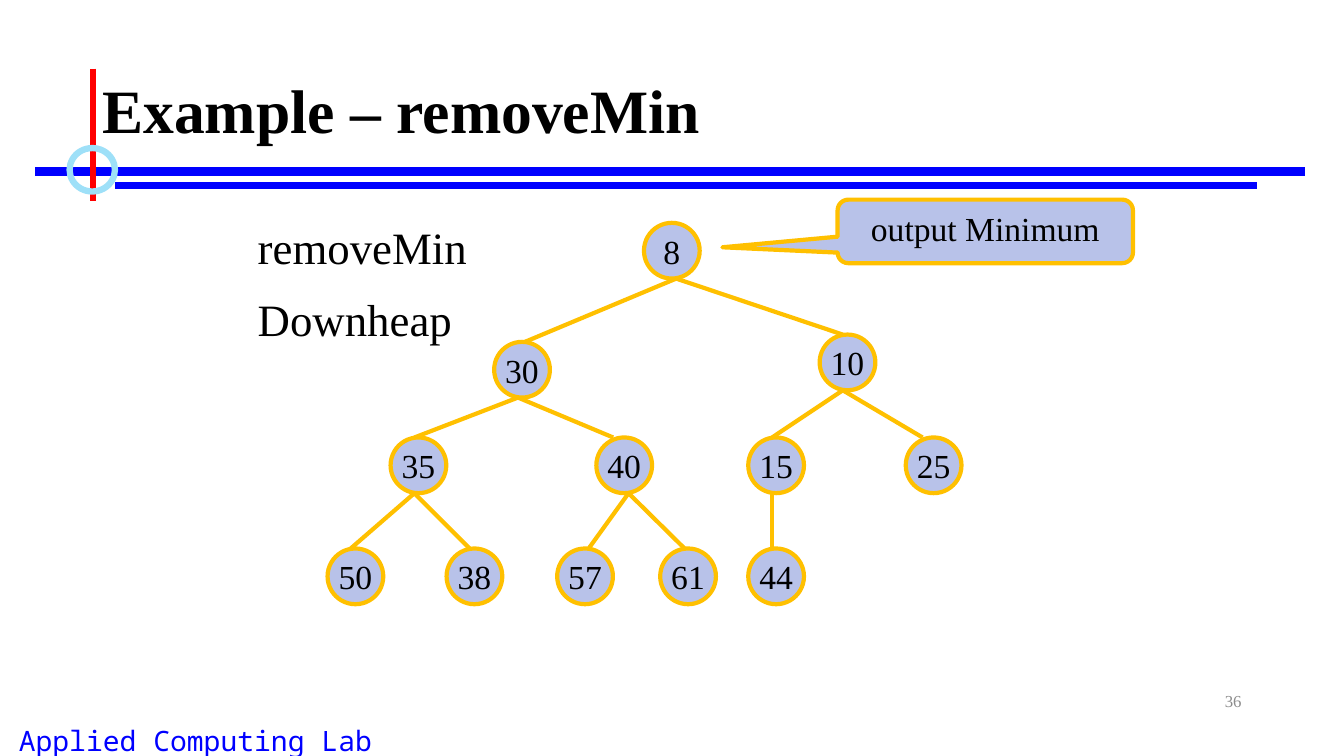
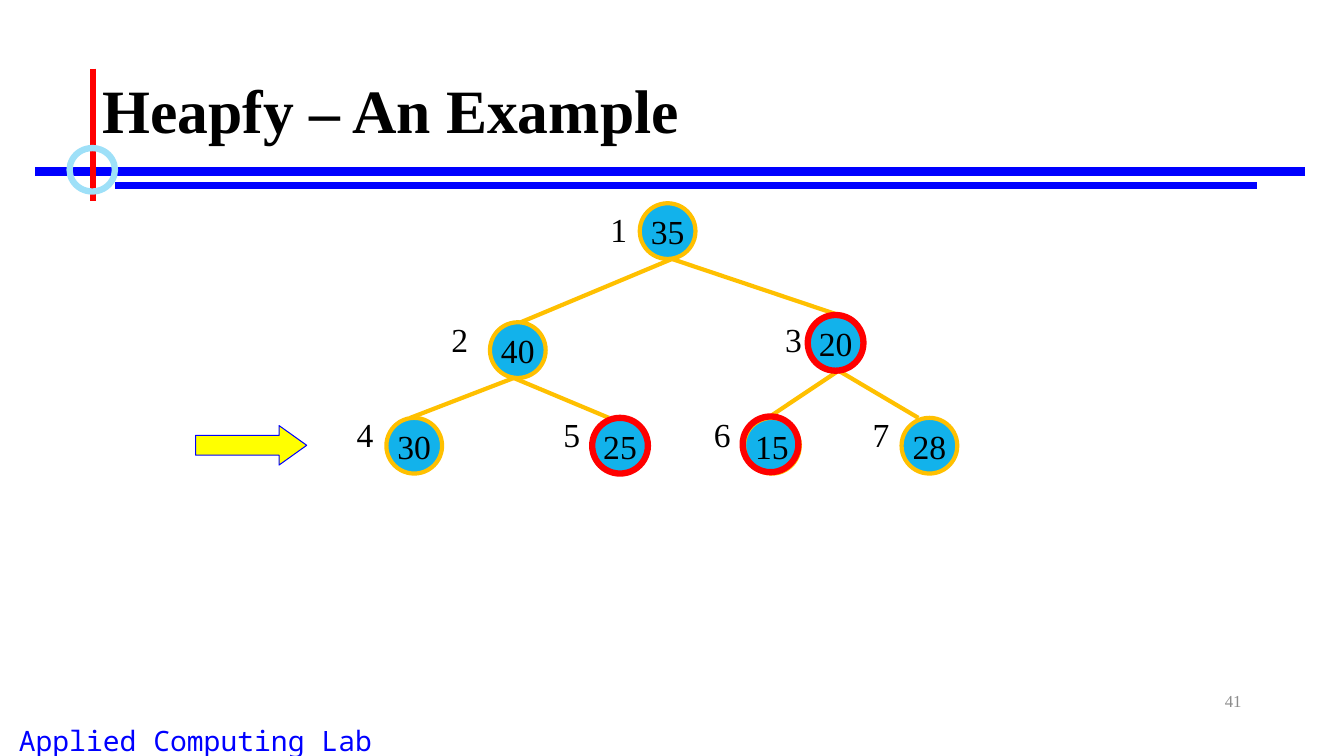
from dataclasses import dataclass

from lxml.etree import SubElement
from pptx import Presentation
from pptx.dml.color import RGBColor
from pptx.enum.shapes import MSO_CONNECTOR, MSO_SHAPE
from pptx.enum.text import MSO_ANCHOR, PP_ALIGN
from pptx.oxml.ns import qn
from pptx.util import Pt


@dataclass(frozen=True)
class Theme:
    serif: str = "Times New Roman"
    mono: str = "Noto Sans Mono"
    black: str = "000000"
    grey: str = "8C8C8C"
    blue: str = "0000FF"
    red: str = "FF0000"
    yellow: str = "FFFF00"
    gold: str = "FFC000"
    pale_blue: str = "9EE0F8"
    lavender: str = "B8C2E9"
    cyan: str = "12B2EB"
    title_size: float = 44
    step_size: float = 32
    node_size: float = 24
    footer_size: float = 20
    number_size: float = 12
    rule: float = 6
    accent: float = 4.5
    edge: float = 3
    thin: float = 0.75


THEME = Theme()

# Content: heap values are in level order, so the parent of node i is i // 2
FOOTER = "Applied Computing Lab"
REMOVE_MIN = {
    "title": "Example – removeMin", "number": 36, "fill": THEME.lavender,
    "values": [8, 30, 10, 35, 40, 15, 25, 50, 38, 57, 61, 44],
    "shift": (0, 0), "nudges": {},
}
HEAPIFY = {
    "title": "Heapfy – An Example", "number": 41, "fill": THEME.cyan,
    "values": [35, 40, 20, 30, 25, 15, 28],
    "shift": (-3, -14), "nudges": {3: -5.5},
}
STEPS = [("removeMin", 153.4), ("Downheap", 204.8)]
CALLOUT = "output Minimum"
LABEL_LEFTS = [429, 315.4, 553.7, 247.7, 395.3, 502.9, 616.3]
LABEL_TOPS = [145.4, 224.6, 292.3]
RINGS = {3: 0, 5: 0, 6: -1}

# Tree geometry: left, top, x where the edge enters, x where edges leave
DIAMETER = 39.8
LEAF_TOP, LOW_TOP = 312.5, 391.8
TREE = [
    (460, 159.2, 483, 483),
    (353, 244.2, 375, 370),
    (585.5, 239, 602, 602),
    (279, LEAF_TOP, 296, 296),
    (426, LEAF_TOP, 438, 449),
    (534.5, LEAF_TOP, 551.5, 551.5),
    (647, LEAF_TOP, 659, 659),
    (234, LOW_TOP, 250.5, 250.5),
    (319, LOW_TOP, 335.5, 335.5),
    (398, LOW_TOP, 420.5, 420.5),
    (471.6, LOW_TOP, 489, 489),
    (534.5, LOW_TOP, 551.5, 551.5),
]


# Drawing helpers
def write(shape, text, size, color=THEME.black, font=THEME.serif, bold=False,
          align=PP_ALIGN.LEFT, anchor=MSO_ANCHOR.TOP, wrap=True):
    frame = shape.text_frame
    frame.word_wrap = wrap
    frame.vertical_anchor = anchor
    para = frame.paragraphs[0]
    para.text = text
    para.alignment = align
    para.font.name = font
    para.font.size = Pt(size)
    para.font.bold = bold
    para.font.color.rgb = RGBColor.from_string(color)
    return para


def add_text(page, text, left, top, width, height, size, **style):
    box = page.shapes.add_textbox(Pt(left), Pt(top), Pt(width), Pt(height))
    return write(box, text, size, **style)


def add_line(page, start, end, color, width):
    line = page.shapes.add_connector(
        MSO_CONNECTOR.STRAIGHT, *(Pt(value) for value in (*start, *end)))
    line.line.color.rgb = RGBColor.from_string(color)
    line.line.width = Pt(width)
    SubElement(line.element.spPr, qn("a:effectLst"))


def add_outlined(page, kind, left, top, width, height, fill, color, weight):
    shape = page.shapes.add_shape(kind, Pt(left), Pt(top), Pt(width), Pt(height))
    shape.shadow.inherit = False
    if fill:
        shape.fill.solid()
        shape.fill.fore_color.rgb = RGBColor.from_string(fill)
    else:
        shape.fill.background()
    shape.line.color.rgb = RGBColor.from_string(color)
    shape.line.width = Pt(weight)
    return shape


# Shared frame: footer, title rules, page number and title
def add_page(deck, content):
    page = deck.slides.add_slide(deck.slide_layouts[6])
    add_text(page, FOOTER, -41.8, 513.4, 363, 31, THEME.footer_size,
             color=THEME.blue, font=THEME.mono, align=PP_ALIGN.CENTER)
    add_line(page, (25.2, 122.4), (932.4, 122.4), THEME.blue, THEME.rule)
    add_line(page, (82, 132.6), (898, 132.6), THEME.blue, THEME.accent)
    add_line(page, (66.4, 49), (66.4, 143.4), THEME.red, THEME.accent)
    add_outlined(page, MSO_SHAPE.OVAL, 49.7, 105.8, 32.4, 31, None,
                 THEME.pale_blue, THEME.accent)
    add_text(page, str(content["number"]), 678, 486, 216, 28.8, THEME.number_size,
             color=THEME.grey, align=PP_ALIGN.RIGHT, anchor=MSO_ANCHOR.MIDDLE)
    title = add_text(page, content["title"], 66, 28.8, 828, 104.4, THEME.title_size,
                     bold=True, anchor=MSO_ANCHOR.MIDDLE)
    title.line_spacing = 0.9
    return page


def add_heap(page, content):
    """Draw the nodes, then the edges; return each node's left and top."""
    shift_x, shift_y = content["shift"]
    spots = {}
    for index, value in enumerate(content["values"], 1):
        left, top = TREE[index - 1][:2]
        spots[index] = (left + shift_x + content["nudges"].get(index, 0),
                        top + shift_y)
        node = add_outlined(page, MSO_SHAPE.OVAL, *spots[index], DIAMETER, DIAMETER,
                            content["fill"], THEME.gold, THEME.edge)
        write(node, str(value), THEME.node_size, align=PP_ALIGN.CENTER,
              anchor=MSO_ANCHOR.MIDDLE, wrap=False)
    for child in range(2, len(spots) + 1):
        parent = child // 2
        start = (TREE[parent - 1][3] + shift_x, spots[parent][1] + DIAMETER)
        end = (TREE[child - 1][2] + shift_x, spots[child][1])
        add_line(page, start, end, THEME.gold, THEME.edge)
    return spots


# The two slides
def build_remove_min(deck):
    page = add_page(deck, REMOVE_MIN)
    add_heap(page, REMOVE_MIN)
    for step, top in STEPS:
        add_text(page, step, 177, top, 165, 46, THEME.step_size, wrap=False)
    callout = add_outlined(page, MSO_SHAPE.ROUNDED_RECTANGULAR_CALLOUT,
                           598.3, 142.6, 211, 45.4,
                           THEME.lavender, THEME.gold, THEME.edge)
    for position, value in enumerate((-0.89, 0.25, 0.17)):
        callout.adjustments[position] = value
    write(callout, CALLOUT, THEME.node_size, align=PP_ALIGN.CENTER)


def build_heapify(deck):
    page = add_page(deck, HEAPIFY)
    spots = add_heap(page, HEAPIFY)
    for index, left in enumerate(LABEL_LEFTS, 1):
        top = LABEL_TOPS[index.bit_length() - 1]
        add_text(page, str(index), left, top, 26.6, 36, THEME.node_size, wrap=False)
    arrow = add_outlined(page, MSO_SHAPE.RIGHT_ARROW, 139.7, 304, 79.4, 28.2,
                         THEME.yellow, THEME.blue, THEME.thin)
    arrow.adjustments[1] = 0.7
    for index, nudge in RINGS.items():
        left, top = spots[index]
        add_outlined(page, MSO_SHAPE.OVAL, left + nudge, top + nudge,
                     DIAMETER, DIAMETER, None, THEME.red, THEME.accent)


def main():
    deck = Presentation()
    deck.slide_width, deck.slide_height = Pt(960), Pt(540)
    build_remove_min(deck)
    build_heapify(deck)
    deck.save("out.pptx")


if __name__ == "__main__":
    main()
